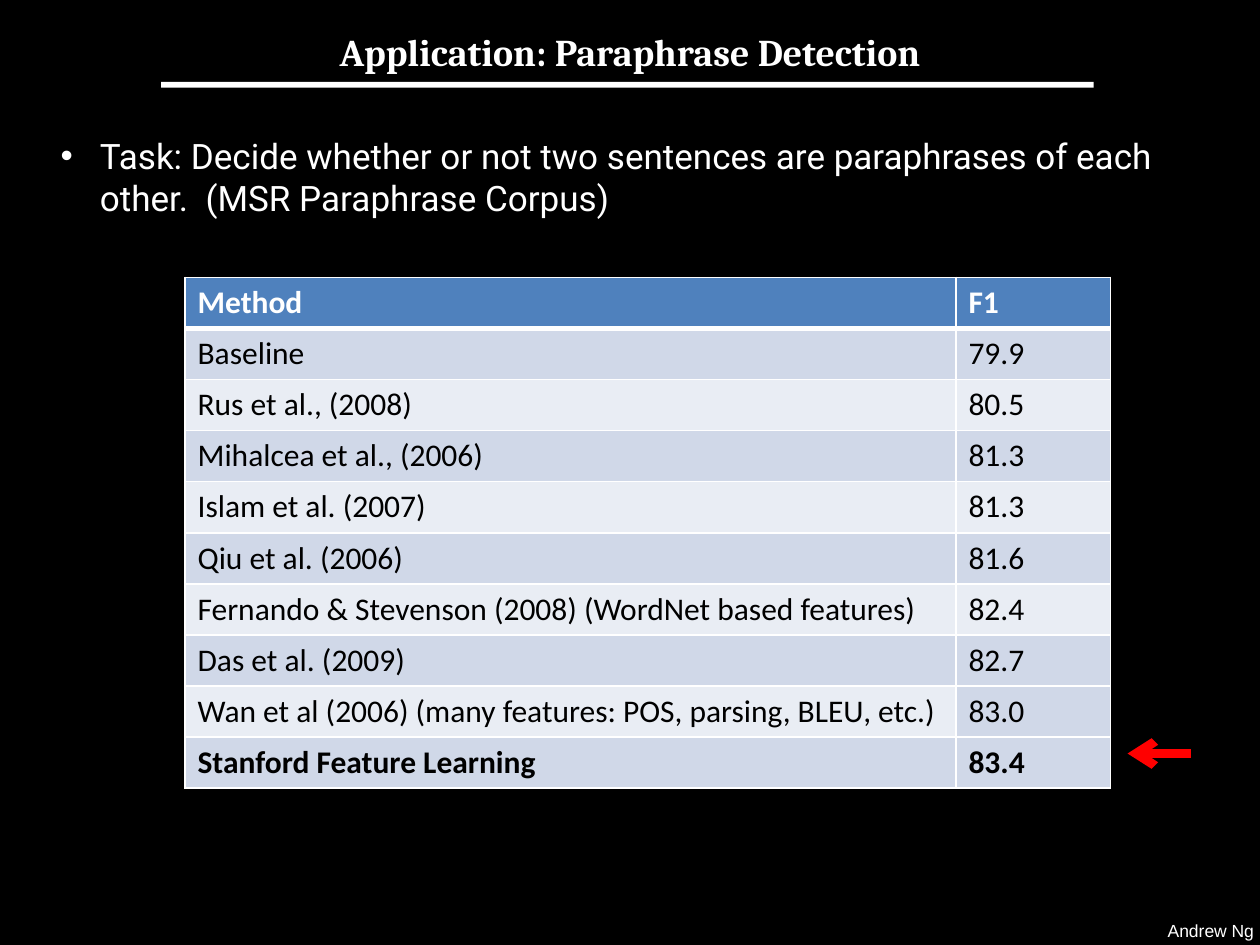
from lxml import etree
from pptx import Presentation
from pptx.dml.color import RGBColor
from pptx.enum.shapes import MSO_CONNECTOR, MSO_SHAPE
from pptx.enum.text import MSO_ANCHOR, MSO_AUTO_SIZE, PP_ALIGN
from pptx.oxml.ns import qn
from pptx.util import Cm, Pt

STRAIGHT, RECT = MSO_CONNECTOR.STRAIGHT, MSO_SHAPE.RECTANGLE
TOP, MIDDLE = MSO_ANCHOR.TOP, MSO_ANCHOR.MIDDLE
LEFT, CENTER, NO_FIT = PP_ALIGN.LEFT, PP_ALIGN.CENTER, MSO_AUTO_SIZE.NONE

COLORS = {"back": "000000", "light": "FFFFFF", "dark": "000000", "head": "4F81BD",
          "odd": "D0D8E8", "even": "E9EDF4", "arrow": "FF0000"}

TITLE = "Application: Paraphrase Detection"
TASK = ("Task: Decide whether or not two sentences are paraphrases of each other.  "
        "(MSR Paraphrase Corpus)")
FOOTER = "Andrew Ng"
RESULTS = [
    ("Method", "F1"),
    ("Baseline", "79.9"),
    ("Rus et al., (2008)", "80.5"),
    ("Mihalcea et al., (2006)", "81.3"),
    ("Islam et al. (2007)", "81.3"),
    ("Qiu et al. (2006)", "81.6"),
    ("Fernando & Stevenson (2008) (WordNet based features)", "82.4"),
    ("Das et al. (2009)", "82.7"),
    ("Wan et al (2006) (many features: POS, parsing, BLEU, etc.)", "83.0"),
    ("Stanford Feature Learning", "83.4"),
]
LAST = len(RESULTS) - 1
COL_WIDTHS = (15.54, 3.12)
ROW_HEIGHT = 1.03

FORMATS = {
    "title": {"name": "Cambria", "size": Pt(21.6), "bold": True},
    "task": {"name": "Roboto", "size": Pt(20), "bold": False},
    "footer": {"name": "Arial", "size": Pt(10), "bold": False},
    "cell": {"name": "Calibri", "size": Pt(18), "bold": False},
    "strong": {"name": "Calibri", "size": Pt(18), "bold": True},
}


def rgb(name):
    return RGBColor.from_string(COLORS[name])


def box(*lengths):
    return [Cm(length) for length in lengths]


def write(tf, text, style, color="light", align=LEFT):
    p = tf.paragraphs[0]
    p.alignment, p.space_before = align, Pt(0)
    r = p.add_run()
    r.text = text
    for key, value in FORMATS[style].items():
        setattr(r.font, key, value)
    r.font.color.rgb = rgb(color)
    return p


def fill_placeholder(sp, place, anchor, *text_args):
    sp.left, sp.top, sp.width, sp.height = box(*place)
    tf = sp.text_frame
    tf.auto_size, tf.word_wrap, tf.vertical_anchor = NO_FIT, True, anchor
    return write(tf, *text_args)


def add_borders(cell, widths):
    """Draw light borders; widths gives the points for left, right, top, bottom."""
    tcPr = cell._tc.get_or_add_tcPr()
    for i, (side, width) in enumerate(zip("LRTB", widths)):
        ln = etree.Element(qn(f"a:ln{side}"), w=str(Pt(width)))
        fill = etree.SubElement(ln, qn("a:solidFill"))
        etree.SubElement(fill, qn("a:srgbClr"), val=COLORS["light"])
        tcPr.insert(i, ln)


def add_results(s):
    place = box(3.73, 5.59, sum(COL_WIDTHS), ROW_HEIGHT * len(RESULTS))
    table = s.shapes.add_table(len(RESULTS), len(COL_WIDTHS), *place).table
    for column, width in zip(table.columns, COL_WIDTHS):
        column.width = Cm(width)
    for i, values in enumerate(RESULTS):
        table.rows[i].height = Cm(ROW_HEIGHT)
        band = "head" if i == 0 else "odd" if i % 2 else "even"
        for j, value in enumerate(values):
            cell = table.cell(i, j)
            cell.fill.solid()
            # The score just above the last row shares that row's band.
            shade = "odd" if (i, j) == (LAST - 1, 1) else band
            cell.fill.fore_color.rgb = rgb(shade)
            add_borders(cell, (1, 1, 3 if i == 1 else 1, 3 if i == 0 else 1))
            write(cell.text_frame, value, "strong" if i in (0, LAST) else "cell",
                  "dark" if i else "light")


def add_arrow(s):
    arrow = s.shapes.add_connector(STRAIGHT, *box(24, 15.19, 22.73, 15.19))
    arrow.line.color.rgb, arrow.line.width = rgb("arrow"), Pt(5)
    etree.SubElement(arrow.line._get_or_add_ln(), qn("a:tailEnd"), type="arrow")
    etree.SubElement(arrow._element.spPr, qn("a:effectLst"))


def main():
    prs = Presentation()
    prs.slide_width, prs.slide_height = box(25.4, 19.05)
    s = prs.slides.add_slide(prs.slide_layouts[1])
    s.background.fill.solid()
    s.background.fill.fore_color.rgb = rgb("back")

    footer = s.shapes.add_textbox(*box(23.29, 18.42, 2.26, 0.69))
    footer.text_frame.word_wrap = False
    write(footer.text_frame, FOOTER, "footer")

    rule = s.shapes.add_shape(RECT, *box(3.25, 1.65, 18.8, 0.12))
    rule.shadow.inherit = False
    rule.fill.solid()
    rule.fill.fore_color.rgb = rgb("light")
    rule.line.fill.background()

    title, body = s.placeholders
    fill_placeholder(title, (3.81, 0.61, 17.78, 0.84), MIDDLE,
                     TITLE, "title", "light", CENTER)
    p = fill_placeholder(body, (0.97, 2.59, 22.86, 6.5), TOP, TASK, "task")
    pPr = p._p.get_or_add_pPr()
    pPr.set("marL", str(Cm(0.79)))
    pPr.set("indent", str(-Cm(0.79)))
    etree.SubElement(pPr, qn("a:buClr")).append(
        etree.Element(qn("a:srgbClr"), val=COLORS["light"]))
    etree.SubElement(pPr, qn("a:buChar"), char="•")

    add_results(s)
    add_arrow(s)
    prs.save("out.pptx")


if __name__ == "__main__":
    main()
